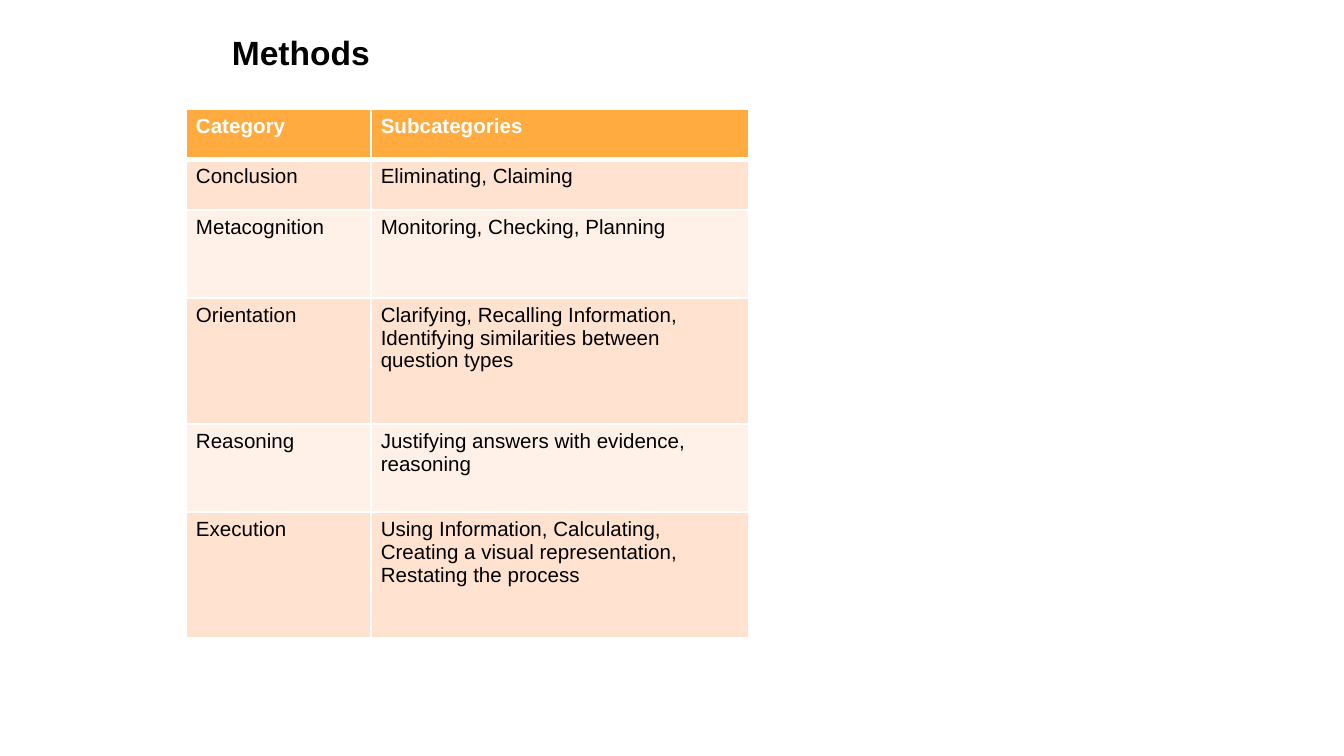
from dataclasses import dataclass

from lxml import etree
from pptx import Presentation
from pptx import util as u
from pptx.dml import color
from pptx.enum import text
from pptx.oxml import ns

SCALE = 9525
FONT = "Arial"
HUES = {
    "head": "FFAB40",
    "dark": "FFE2CF",
    "light": "FFF1E8",
    "line": "FFFFFF",
    "ink": "000000",
}


@dataclass
class Row:
    name: str
    subs: str
    height: int


ROWS = [
    Row("Category", "Subcategories", 36),
    Row("Conclusion", "Eliminating, Claiming", 36),
    Row("Metacognition", "Monitoring, Checking, Planning", 63),
    Row("Orientation", "Clarifying, Recalling Information, "
        "Identifying similarities between question types", 90),
    Row("Reasoning", "Justifying answers with evidence, reasoning", 63),
    Row("Execution", "Using Information, Calculating, "
        "Creating a visual representation, Restating the process", 90),
]
WIDTHS = (132, 270)


def px(n: int) -> u.Emu:
    return u.Emu(n * SCALE)


def rgb(key: str) -> color.RGBColor:
    return color.RGBColor.from_string(HUES[key])


def write(frame, words: str, *, size: int, hue: str = "ink", bold: bool = False) -> None:
    para = frame.paragraphs[0]
    para.alignment = text.PP_ALIGN.LEFT
    run = para.add_run()
    run.text = words
    run.font.name = FONT
    run.font.size = u.Pt(size)
    run.font.bold = bold
    run.font.color.rgb = rgb(hue)


def edge(cell, side: str, width: int) -> None:
    props = cell._tc.get_or_add_tcPr()
    line = etree.Element(ns.qn(f"a:ln{side}"), w=str(u.Pt(width)))
    fill = etree.SubElement(line, ns.qn("a:solidFill"))
    etree.SubElement(fill, ns.qn("a:srgbClr"), val=HUES["line"])
    props.insert("LRTB".index(side), line)


def draw_cell(cell, words: str, row: int) -> None:
    head = row == 0
    fill = "head" if head else "dark" if row % 2 else "light"
    cell.fill.solid()
    cell.fill.fore_color.rgb = rgb(fill)
    cell.margin_left = cell.margin_right = px(7)
    cell.margin_top = cell.margin_bottom = px(4)
    for side in "LRTB":
        thick = (head and side == "B") or (row == 1 and side == "T")
        edge(cell, side, 3 if thick else 1)
    write(cell.text_frame, words, size=11, hue="line" if head else "ink", bold=head)


def draw_table(slide, rows: list[Row], left: int, top: int) -> None:
    high = sum(row.height for row in rows)
    table = slide.shapes.add_table(
        len(rows), len(WIDTHS), px(left), px(top), px(sum(WIDTHS)), px(high)
    ).table
    for col, width in zip(table.columns, WIDTHS):
        col.width = px(width)
    for i, row in enumerate(rows):
        table.rows[i].height = px(row.height)
        for j, words in enumerate((row.name, row.subs)):
            draw_cell(table.cell(i, j), words, i)


def draw_title(slide, words: str) -> None:
    title = slide.shapes.title
    title.left, title.top = px(156), px(18)
    title.width, title.height = px(684), px(38)
    frame = title.text_frame
    frame.word_wrap = True
    frame.auto_size = text.MSO_AUTO_SIZE.SHAPE_TO_FIT_TEXT
    frame.vertical_anchor = text.MSO_ANCHOR.TOP
    write(frame, words, size=18, bold=True)


def main() -> None:
    deck = Presentation()
    deck.slide_width, deck.slide_height = px(960), px(540)
    slide = deck.slides.add_slide(deck.slide_layouts[5])
    draw_table(slide, ROWS, 133, 78)
    draw_title(slide, "Methods")
    deck.save("out.pptx")


if __name__ == "__main__":
    main()
